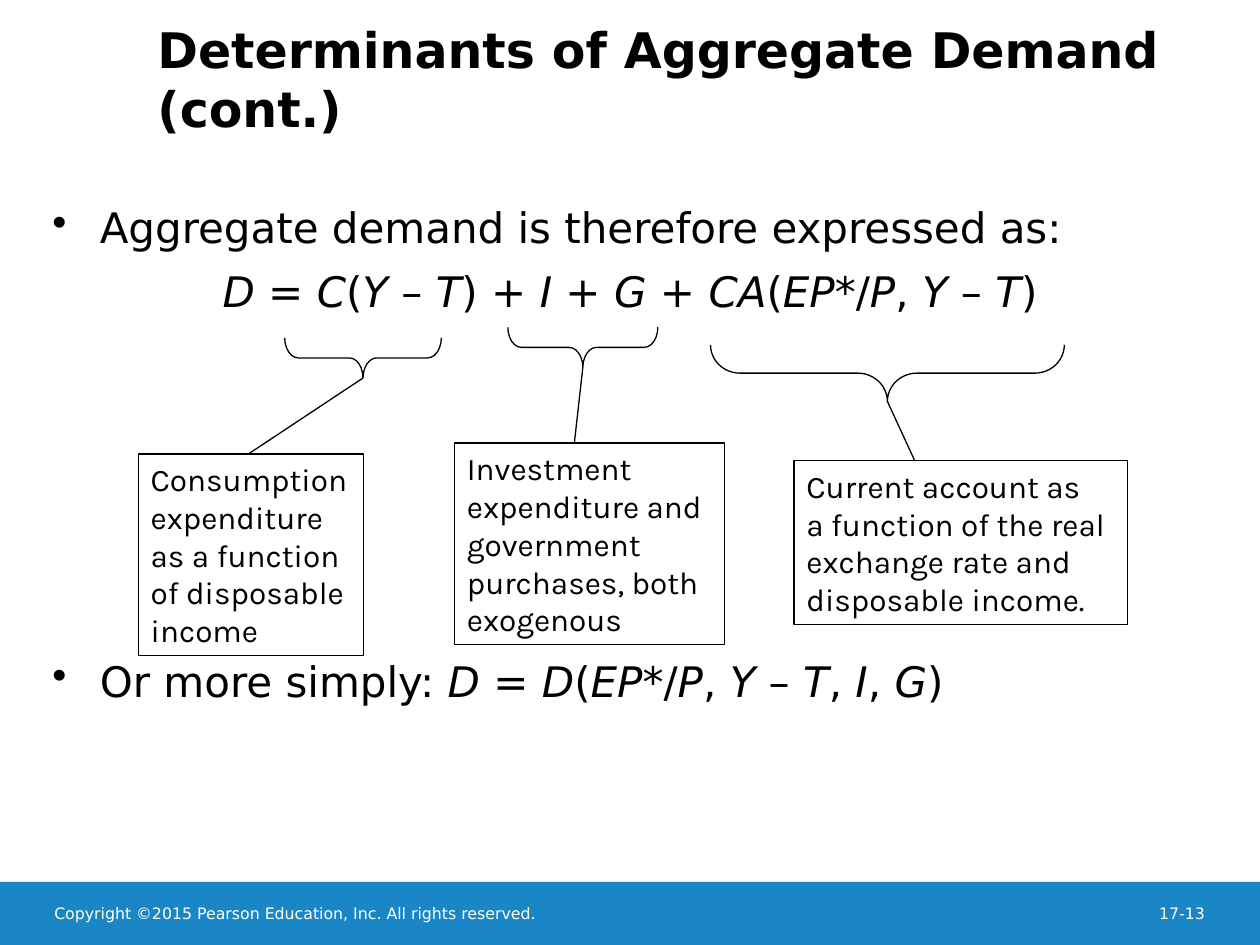
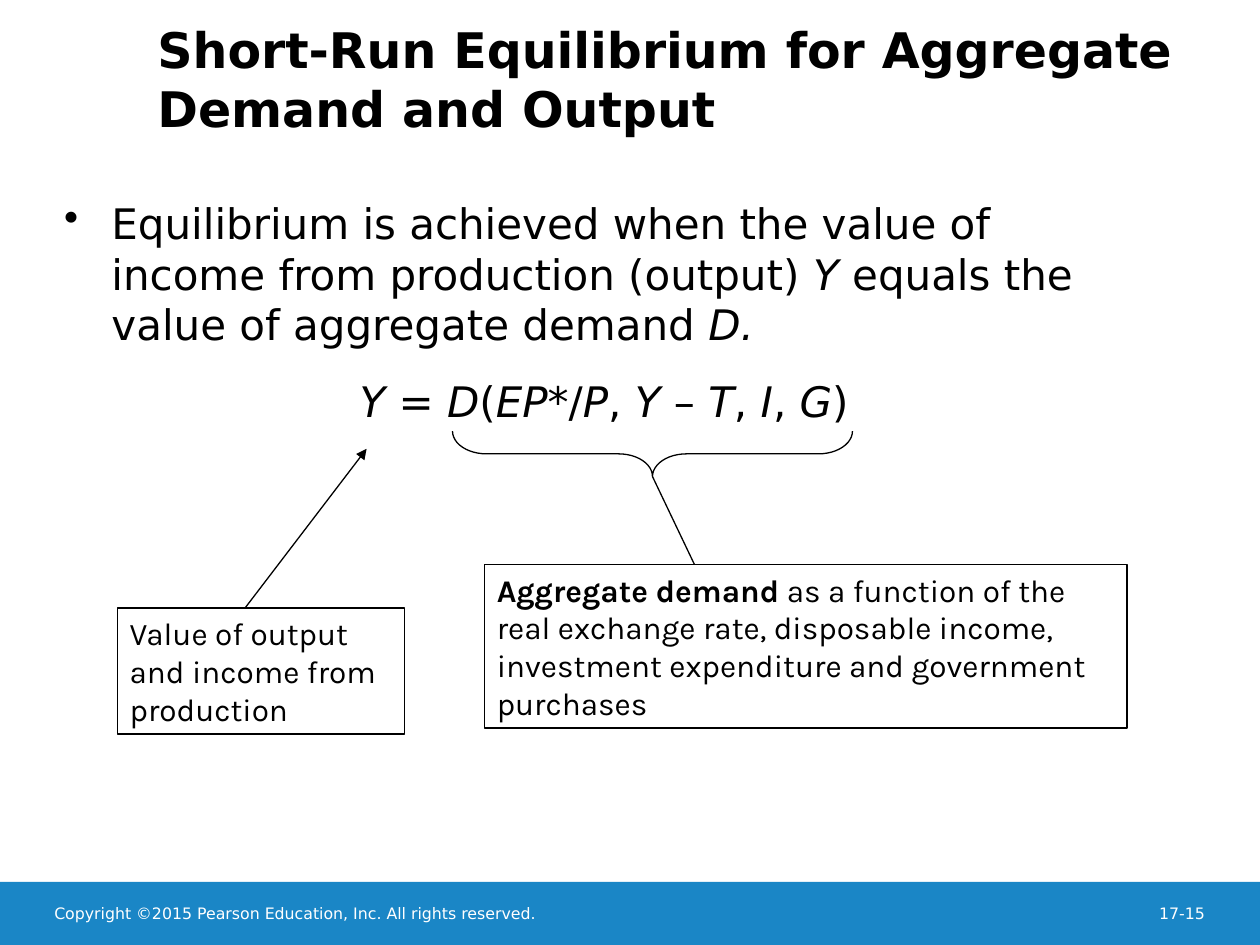
from collections import namedtuple

from lxml.etree import SubElement
from pptx import Presentation
from pptx.dml.color import RGBColor
from pptx.enum.shapes import MSO_CONNECTOR as Connector, MSO_SHAPE as Shape
from pptx.enum.text import MSO_ANCHOR as Anchor, PP_ALIGN as Align
from pptx.oxml.ns import qn
from pptx.util import Pt

Box = namedtuple("Box", "left top width height")

COLORS = {"band": "1A86C6", "ink": "000000", "paper": "FFFFFF"}
MAIN_FONT, CALLOUT_FONT = "DejaVu Sans", "Karla"
LINE_WIDTH = 0.75
BULLET_INDENT = 27

PAGE = Box(0, 0, 720, 540)
TITLE = Box(90, 0, 606, 90)
FOOTER = Box(0, 504, 720, 36)


def color(name):
    return RGBColor.from_string(COLORS[name])


def points(*lengths):
    return [Pt(length) for length in lengths]


def set_font(paragraph, name, size, color_name="ink"):
    font = paragraph.font
    font.name, font.size = name, Pt(size)
    font.color.rgb = color(color_name)


def add_marked_runs(paragraph, text, emphasis="italic"):
    """Parts between underscores get the emphasis."""
    for index, part in enumerate(text.split("_")):
        if part:
            run = paragraph.add_run()
            run.text = part
            if index % 2:
                setattr(run.font, emphasis, True)


def add_text_frame(slide, box):
    frame = slide.shapes.add_textbox(*points(*box)).text_frame
    frame.word_wrap = True
    frame.margin_left = frame.margin_right = frame.margin_top = frame.margin_bottom = 0
    return frame


def add_label(slide, box, text, size, color_name="ink", align=Align.LEFT):
    frame = add_text_frame(slide, box)
    paragraph = frame.paragraphs[0]
    paragraph.text, paragraph.alignment = text, align
    set_font(paragraph, MAIN_FONT, size, color_name)
    return frame


def add_panel(slide, kind, box, fill=None, line=None):
    shape = slide.shapes.add_shape(kind, *points(*box))
    shape.shadow.inherit = False
    if fill:
        shape.fill.solid()
        shape.fill.fore_color.rgb = color(fill)
    else:
        shape.fill.background()
    if line:
        shape.line.color.rgb = color(line)
        shape.line.width = Pt(LINE_WIDTH)
    else:
        shape.line.fill.background()
    return shape


# Shared parts of every slide
def add_footer(slide, box, page_number):
    add_panel(slide, Shape.RECTANGLE, box, fill="band")
    text_top = box.top + 12.2
    add_label(slide, Box(box.left + 31, text_top, 425, 14.4),
              "Copyright ©2015 Pearson Education, Inc. All rights reserved.", 9, "paper")
    add_label(slide, Box(box.left + box.width - 71.5, text_top, 40, 14.4),
              page_number, 9, "paper", Align.RIGHT)


def add_title(slide, box, text):
    frame = add_label(slide, box, text, 28)
    frame.vertical_anchor = Anchor.MIDDLE
    frame.paragraphs[0].font.bold = True


def start_slide(presentation, title, page_number):
    slide = presentation.slides.add_slide(presentation.slide_layouts[6])
    add_footer(slide, FOOTER, page_number)
    add_title(slide, TITLE, title)
    return slide


# Body text: (text, space before, is formula)
def add_body(slide, box, items, line_spacing):
    frame = add_text_frame(slide, box)
    for index, (text, space_before, is_formula) in enumerate(items):
        paragraph = frame.paragraphs[0] if index == 0 else frame.add_paragraph()
        properties = paragraph._p.get_or_add_pPr()
        properties.set("marL", str(Pt(BULLET_INDENT)))
        properties.set("indent", str(-Pt(BULLET_INDENT)))
        paragraph.line_spacing = line_spacing
        paragraph.space_before = Pt(space_before)
        if is_formula:
            paragraph.alignment = Align.CENTER
        else:
            SubElement(properties, qn("a:buChar")).set("char", "•")
        set_font(paragraph, MAIN_FONT, 24)
        add_marked_runs(paragraph, text)


# Brace opening upwards; returns its lower tip
def add_brace(slide, box, curve):
    left = box.left + (box.width - box.height) / 2
    top = box.top + (box.height - box.width) / 2
    brace = add_panel(slide, Shape.LEFT_BRACE,
                      Box(left, top, box.height, box.width), line="ink")
    brace.rotation = 270
    brace.adjustments[0] = curve
    return box.left + box.width / 2, box.top + box.height


# Bordered note with a line from its top edge to the target
def add_callout(slide, box, lines, line_offset, target, arrow=False):
    connector = slide.shapes.add_connector(
        Connector.STRAIGHT, *points(box.left + line_offset, box.top, *target))
    connector.line.color.rgb = color("ink")
    connector.line.width = Pt(LINE_WIDTH)
    if arrow:
        SubElement(connector.line._get_or_add_ln(), qn("a:tailEnd")).set("type", "triangle")
    SubElement(connector._element.spPr, qn("a:effectLst"))

    frame = add_panel(slide, Shape.RECTANGLE, box, "paper", "ink").text_frame
    frame.word_wrap = True
    frame.vertical_anchor = Anchor.TOP
    frame.margin_left = frame.margin_right = Pt(7.2)
    frame.margin_top = frame.margin_bottom = Pt(3.6)
    for index, line in enumerate(lines):
        paragraph = frame.paragraphs[0] if index == 0 else frame.add_paragraph()
        paragraph.alignment = Align.LEFT
        set_font(paragraph, CALLOUT_FONT, 18)
        add_marked_runs(paragraph, line, "bold")


def build_determinants(presentation):
    slide = start_slide(presentation, "Determinants of Aggregate Demand (cont.)", "17-13")
    add_body(slide, Box(30, 114, 660, 366), [
        ("Aggregate demand is therefore expressed as:", 0, False),
        ("_D_ = _C_(_Y_ – _T_) + _I_ + _G_ + _CA_(_EP_*/_P_, _Y_ – _T_)", 6, True),
        ("Or more simply: _D_ = _D_(_EP_*/_P_, _Y_ – _T_, _I_, _G_)", 192.5, False),
    ], 1.05)

    # Term brace, curve, note box, line offset, note lines
    terms = [
        (Box(162.7, 193, 89.5, 23), 0.34, Box(79, 259.4, 128.6, 115.2), 63,
         ["Consumption", "expenditure", "as a function", "of disposable", "income"]),
        (Box(290.2, 187, 85.7, 23), 0.34, Box(259.7, 253.2, 154.3, 115.2), 68.5,
         ["Investment", "expenditure and", "government", "purchases, both", "exogenous"]),
        (Box(406, 197, 202.2, 32.4), 0.52, Box(453.7, 263.2, 190.8, 93.6), 69,
         ["Current account as", "a function of the real", "exchange rate and",
          "disposable income."]),
    ]
    for brace, curve, note, offset, lines in terms:
        add_callout(slide, note, lines, offset, add_brace(slide, brace, curve))


def build_equilibrium(presentation):
    slide = start_slide(
        presentation, "Short-Run Equilibrium for Aggregate Demand and Output", "17-15")
    add_body(slide, Box(36.7, 113, 617, 366), [
        ("Equilibrium is achieved when the value of income from production (output) "
         "_Y _equals the value of aggregate demand _D._", 0, False),
        ("_Y_ = _D_(_EP_*/_P_, _Y_ – _T_, _I_, _G_)", 15, True),
    ], 1.0)

    # Output side
    add_callout(slide, Box(67, 347.5, 164.2, 72),
                ["Value of output", "and income from", "production"],
                73, (209.5, 256.5), arrow=True)

    # Demand side
    tip = add_brace(slide, Box(258.6, 246.4, 228.5, 25.9), 0.75)
    add_callout(slide, Box(276.8, 322.5, 367.2, 93.6),
                ["_Aggregate demand_ as a function of the",
                 "real exchange rate, disposable income,",
                 "investment expenditure and government", "purchases"],
                120, tip)


def main():
    presentation = Presentation()
    presentation.slide_width, presentation.slide_height = points(PAGE.width, PAGE.height)
    build_determinants(presentation)
    build_equilibrium(presentation)
    presentation.save("out.pptx")


if __name__ == "__main__":
    main()
